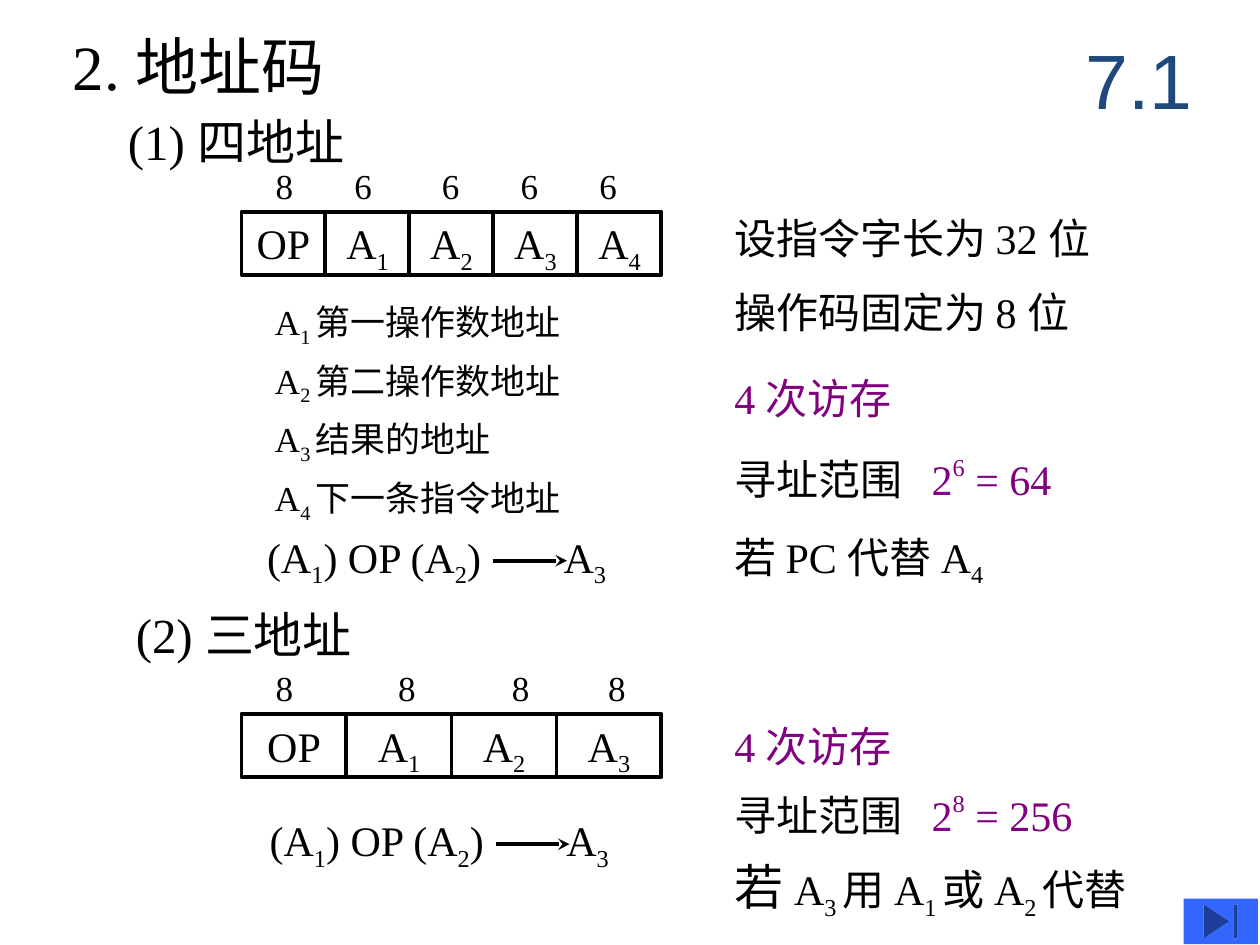
from typing import NamedTuple

from lxml import etree
from pptx import Presentation
from pptx import util as u
from pptx.dml.color import RGBColor
from pptx.enum import shapes, text
from pptx.oxml import ns

BLACK = RGBColor(0x00, 0x00, 0x00)
PURPLE = RGBColor(0x80, 0x00, 0x80)
NAVY = RGBColor(0x1F, 0x49, 0x7D)
BLUE = RGBColor(0x33, 0x66, 0xFF)
SERIF = "Times New Roman"
SUBSCRIPT, SUPERSCRIPT = -25000, 45000
CELL_LEFT, CELLS_WIDTH, CELL_HEIGHT = 138, 240, 36
NOTE_LEFT = 412.5


class Run(NamedTuple):
    text: str
    size: float = 24
    baseline: int = 0
    color: RGBColor = BLACK


class Label(NamedTuple):
    left: float
    top: float
    width: float
    height: float
    runs: list[Run]
    tabs: tuple[float, ...] = ()
    line_spacing: float | None = None


class Instruction(NamedTuple):
    top: float
    fields: list[list[Run]]
    bits: str
    bit_tabs: tuple[float, ...]


def sub(characters: str, size: float = 24) -> Run:
    return Run(characters, size, SUBSCRIPT)


def address(number: int) -> list[Run]:
    return [Run("A"), sub(str(number))]


def address_range(exponent: str, count: str) -> list[Run]:
    return [
        Run("寻址范围\t"),
        Run("2", color=PURPLE),
        Run(exponent, baseline=SUPERSCRIPT, color=PURPLE),
        Run(f" = {count}", color=PURPLE),
    ]


def write_runs(paragraph, runs: list[Run]) -> None:
    for item in runs:
        run = paragraph.add_run()
        run.text = item.text
        run.font.name = SERIF
        run.font.size = u.Pt(item.size)
        run.font.color.rgb = item.color
        if item.baseline:
            run.font._element.set("baseline", str(item.baseline))


def add_tab_stops(paragraph, positions: tuple[float, ...]) -> None:
    tab_list = etree.SubElement(paragraph._p.get_or_add_pPr(), ns.qn("a:tabLst"))
    for position in positions:
        etree.SubElement(tab_list, ns.qn("a:tab"), pos=str(u.Pt(position)), algn="l")


def draw_label(slide, label: Label) -> None:
    box = slide.shapes.add_textbox(*map(u.Pt, label[:4]))
    box.text_frame.word_wrap = True
    paragraph = box.text_frame.paragraphs[0]
    if label.tabs:
        add_tab_stops(paragraph, label.tabs)
    if label.line_spacing:
        paragraph.line_spacing = label.line_spacing
    write_runs(paragraph, label.runs)


def draw_instruction(slide, instruction: Instruction) -> None:
    """Draw a row of equal fields with the bit counts above it."""
    draw_label(slide, Label(150.5, instruction.top - 30.5, 230, 31.5,
                            [Run(instruction.bits, 20)], instruction.bit_tabs))
    width = CELLS_WIDTH / len(instruction.fields)
    for index, runs in enumerate(instruction.fields):
        cell = slide.shapes.add_shape(
            shapes.MSO_SHAPE.RECTANGLE, u.Pt(CELL_LEFT + index * width),
            u.Pt(instruction.top), u.Pt(width), u.Pt(CELL_HEIGHT))
        cell.shadow.inherit = False
        cell.fill.background()
        cell.line.color.rgb = BLACK
        cell.line.width = u.Pt(2.25)
        frame = cell.text_frame
        frame.margin_left = frame.margin_right = 0
        frame.vertical_anchor = text.MSO_ANCHOR.TOP
        frame.paragraphs[0].alignment = text.PP_ALIGN.CENTER
        write_runs(frame.paragraphs[0], runs)


def draw_operation(slide, left: float, top: float) -> None:
    """Draw (A1) OP (A2) -> A3 with a real arrow in the tab gap."""
    runs = [Run("(A"), sub("1"), Run(") OP (A"), sub("2"), Run(")\tA"), sub("3")]
    draw_label(slide, Label(left, top, 214, 40, runs, (169.5,)))
    middle = u.Pt(top + 20.4)
    arrow = slide.shapes.add_connector(
        shapes.MSO_CONNECTOR.STRAIGHT,
        u.Pt(left + 136.5), middle, u.Pt(left + 178.5), middle)
    arrow.line.color.rgb = BLACK
    arrow.line.width = u.Pt(2.25)
    etree.SubElement(arrow.line._get_or_add_ln(), ns.qn("a:tailEnd"), type="stealth")
    etree.SubElement(arrow._element.spPr, ns.qn("a:effectLst"))


def draw_title(slide) -> None:
    title = slide.shapes.title
    title.left, title.top, title.width, title.height = map(u.Pt, (606, 12, 90, 66))
    frame = title.text_frame
    frame.text = "7.1"
    frame.auto_size = text.MSO_AUTO_SIZE.NONE
    frame.vertical_anchor = text.MSO_ANCHOR.MIDDLE
    paragraph = frame.paragraphs[0]
    paragraph.alignment = text.PP_ALIGN.CENTER
    font = paragraph.runs[0].font
    font.name, font.size = "Arial", u.Pt(44)
    font.color.rgb = NAVY


def draw_end_button(slide) -> None:
    button = slide.shapes.add_shape(shapes.MSO_SHAPE.ACTION_BUTTON_END,
                                    *map(u.Pt, (676.3, 513.5, 42.5, 26)))
    button.shadow.inherit = False
    button.fill.solid()
    button.fill.fore_color.rgb = BLUE
    button.line.fill.background()


HEADINGS = [
    Label(34.5, 12, 217, 50, [Run("2. 地址码", 36)]),
    Label(66, 60, 378, 41, [Run("(1) 四地址", 28)]),
    Label(70.5, 342, 397, 41, [Run("(2) 三地址", 28)]),
]
INSTRUCTIONS = [
    Instruction(121, [[Run("OP")], *map(address, range(1, 5))],
                "8\t6\t6\t6\t6", (45, 95, 140, 185)),
    Instruction(408, [[Run("OP")], *map(address, range(1, 4))],
                "8\t8\t8\t8", (70, 135, 190)),
]
MEANINGS = ["第一操作数地址", "第二操作数地址", "结果的地址", "下一条指令地址"]
NOTES = [
    Label(NOTE_LEFT, 121, 266, 33, [Run("设指令字长为 32 位")], line_spacing=0.9),
    Label(NOTE_LEFT, 163.2, 266, 33, [Run("操作码固定为 8 位")], line_spacing=0.9),
    Label(NOTE_LEFT, 209.5, 187, 36, [Run("4 次访存", color=PURPLE)]),
    Label(NOTE_LEFT, 255, 253, 37, address_range("6", "64"), (112.8,)),
    Label(NOTE_LEFT, 300, 217, 40, [Run("若 PC 代替 A"), sub("4")]),
    Label(NOTE_LEFT, 408, 176, 36, [Run("4 次访存", color=PURPLE)]),
    Label(NOTE_LEFT, 447, 248, 37, address_range("8", "256"), (112.8,)),
    Label(NOTE_LEFT, 486, 276, 44, [
        Run("若 ", 28), Run("A"), sub("3 "), Run("用 A"), sub("1 "),
        Run("或 A"), sub("2 "), Run("代替")]),
]


def main() -> None:
    presentation = Presentation()
    presentation.slide_width, presentation.slide_height = u.Pt(720), u.Pt(540)
    slide = presentation.slides.add_slide(presentation.slide_layouts[5])
    draw_title(slide)

    # Headings and the notes on the right
    for label in HEADINGS + NOTES:
        draw_label(slide, label)

    # Instruction formats and their operations
    for instruction in INSTRUCTIONS:
        draw_instruction(slide, instruction)
    draw_operation(slide, 145.5, 300)
    draw_operation(slide, 147, 462)

    # Meaning of each address field
    for index, meaning in enumerate(MEANINGS):
        runs = [Run("A", 20), sub(f"{index + 1} ", 20), Run(meaning, 20)]
        draw_label(slide, Label(150, 168 + 33.6 * index, 228, 34.5, runs))

    draw_end_button(slide)
    presentation.save("out.pptx")


if __name__ == "__main__":
    main()
